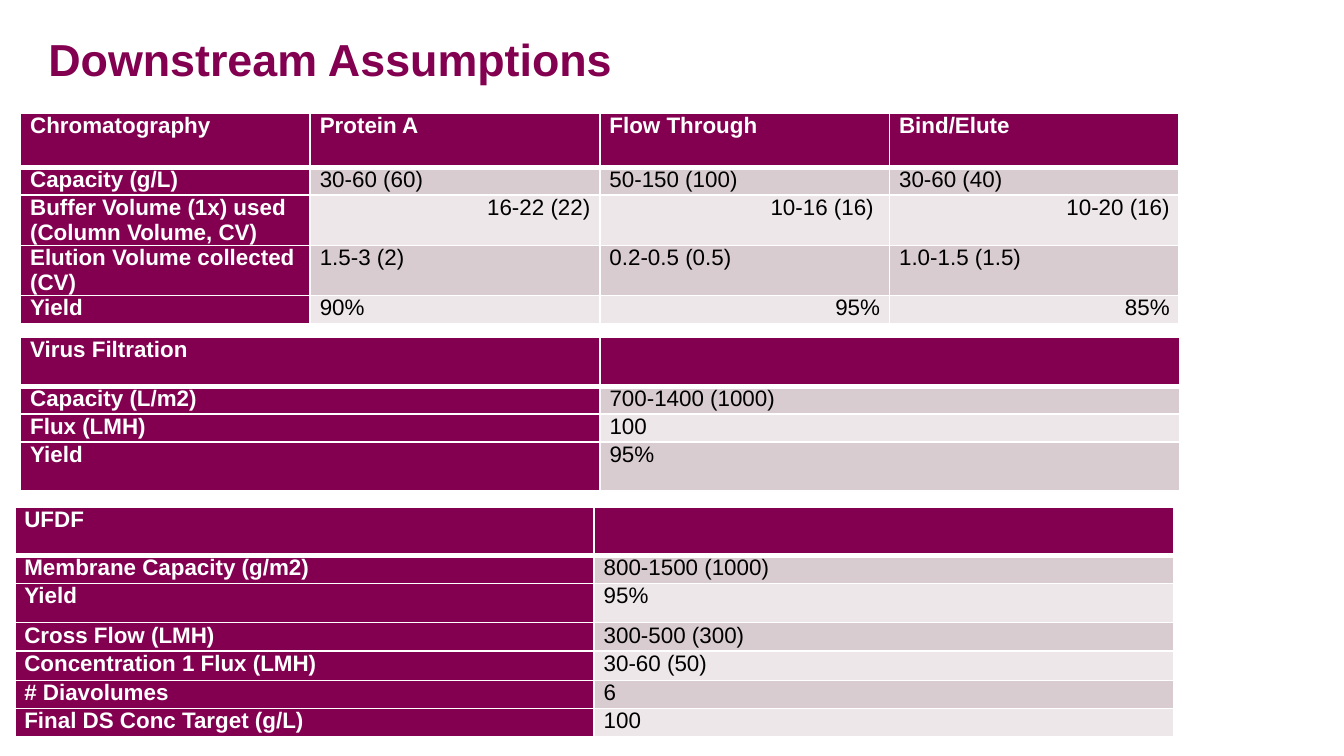
from lxml import etree
from pptx import Presentation
from pptx.dml.color import RGBColor
from pptx.enum.text import MSO_ANCHOR, PP_ALIGN
from pptx.oxml.ns import qn
from pptx.util import Cm, Pt

MIDDLE = MSO_ANCHOR.MIDDLE
LEFT, RIGHT = PP_ALIGN.LEFT, PP_ALIGN.RIGHT
FONT = "Arial"
PLUM, WHITE, BLACK = "830051", "FFFFFF", "000000"
BANDS = ("D9CCD0", "EDE7E9")
TABLE_WIDTH = 21.9
LINE = 0.53  # height of a one-line row, in cm

CHROMATOGRAPHY = [
    ["Chromatography", "Protein A", "Flow Through", "Bind/Elute"],
    ["Capacity (g/L)", "30-60 (60)", "50-150 (100)", "30-60 (40)"],
    ["Buffer Volume (1x) used (Column Volume, CV)", "16-22 (22)", "10-16 (16) ", "10-20 (16)"],
    ["Elution Volume collected (CV)", "1.5-3 (2)", "0.2-0.5 (0.5)", "1.0-1.5 (1.5)"],
    ["Yield", "90%", "95%", "85%"],
]
RIGHT_ALIGNED = {(2, 1), (2, 2), (2, 3), (4, 2), (4, 3)}
VIRUS_FILTRATION = [
    ["Virus Filtration", ""],
    ["Capacity (L/m2)", "700-1400 (1000)"],
    ["Flux (LMH)", "100"],
    ["Yield", "95%"],
]
UFDF = [
    ["UFDF", ""],
    ["Membrane Capacity (g/m2)", "800-1500 (1000)"],
    ["Yield", "95%"],
    ["Cross Flow (LMH)", "300-500 (300)"],
    ["Concentration 1 Flux (LMH)", "30-60 (50)"],
    ["# Diavolumes", "6"],
    ["Final DS Conc Target (g/L)", "100"],
]


def color(value):
    return RGBColor.from_string(value)


def style_font(para, size, value, bold):
    font = para.font
    font.name, font.size, font.bold = FONT, Pt(size), bold
    font.color.rgb = color(value)


def add_borders(cell, row):
    """Draw white cell edges, with a thicker rule below the header row."""
    properties = cell._tc.get_or_add_tcPr()
    widths = {"lnL": 1, "lnR": 1, "lnT": 3 if row == 1 else 1, "lnB": 3 if row == 0 else 1}
    for tag, width in widths.items():
        edge = etree.SubElement(properties, qn(f"a:{tag}"), w=str(Pt(width)))
        fill = etree.SubElement(edge, qn("a:solidFill"))
        etree.SubElement(fill, qn("a:srgbClr"), val=WHITE)


def fill_cell(cell, text, row, column, align):
    heading = row == 0 or column == 0
    cell.margin_left = cell.margin_right = Cm(0.18)
    cell.margin_top = cell.margin_bottom = Cm(0)
    add_borders(cell, row)
    cell.fill.solid()
    cell.fill.fore_color.rgb = color(PLUM if heading else BANDS[(row - 1) % 2])
    cell.text = text
    para = cell.text_frame.paragraphs[0]
    para.alignment = align
    style_font(para, 12, WHITE if heading else BLACK, heading)


def add_data_table(page, left, top, heights, rows, right_aligned=()):
    columns = len(rows[0])
    frame = page.shapes.add_table(
        len(rows), columns, Cm(left), Cm(top), Cm(TABLE_WIDTH), Cm(sum(heights)))
    table = frame.table
    table.first_row = table.horz_banding = False
    for column in table.columns:
        column.width = Cm(TABLE_WIDTH / columns)
    for r, (height, texts) in enumerate(zip(heights, rows)):
        table.rows[r].height = Cm(height)
        for c, text in enumerate(texts):
            align = RIGHT if (r, c) in right_aligned else LEFT
            fill_cell(table.cell(r, c), text, r, c, align)


def set_title(page, text):
    title = page.shapes.title
    title.left, title.top, title.width, title.height = Cm(0.66), Cm(0.4), Cm(24.36), Cm(1.4)
    title.text = text
    title.text_frame.vertical_anchor = MIDDLE
    para = title.text_frame.paragraphs[0]
    para.alignment = LEFT
    style_font(para, 24, PLUM, True)


def main():
    deck = Presentation()
    deck.slide_width, deck.slide_height = Cm(25.4), Cm(14.29)
    page = deck.slides.add_slide(deck.slide_layouts[5])
    set_title(page, "Downstream Assumptions")
    add_data_table(page, 0.39, 2.14, [1.02, LINE, 0.94, 0.94, LINE],
                   CHROMATOGRAPHY, RIGHT_ALIGNED)
    add_data_table(page, 0.39, 6.38, [0.92, LINE, LINE, 0.91], VIRUS_FILTRATION)
    add_data_table(page, 0.28, 9.58, [0.92, LINE, 0.74, LINE, 0.56, LINE, LINE], UFDF)
    deck.save("out.pptx")


if __name__ == "__main__":
    main()
